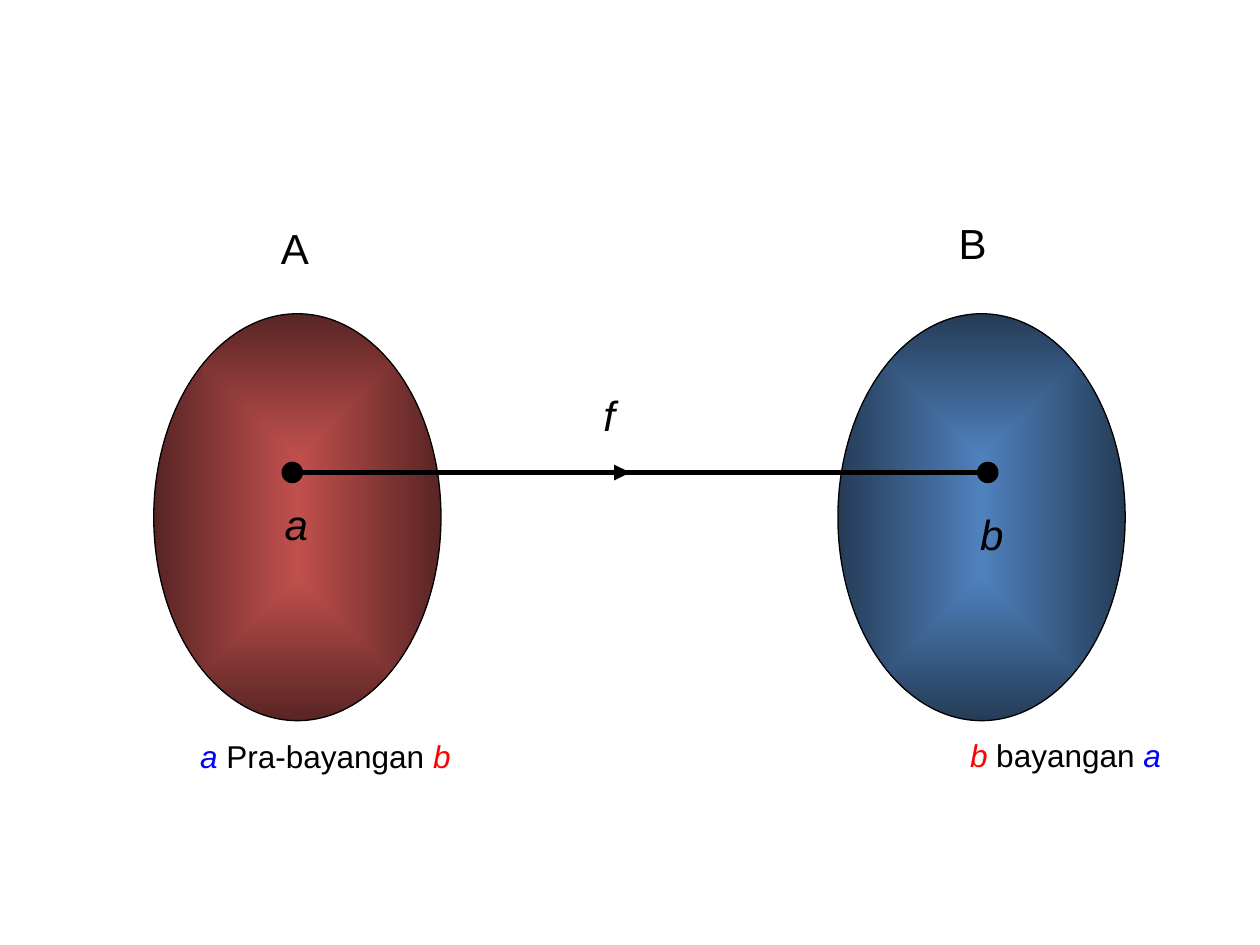
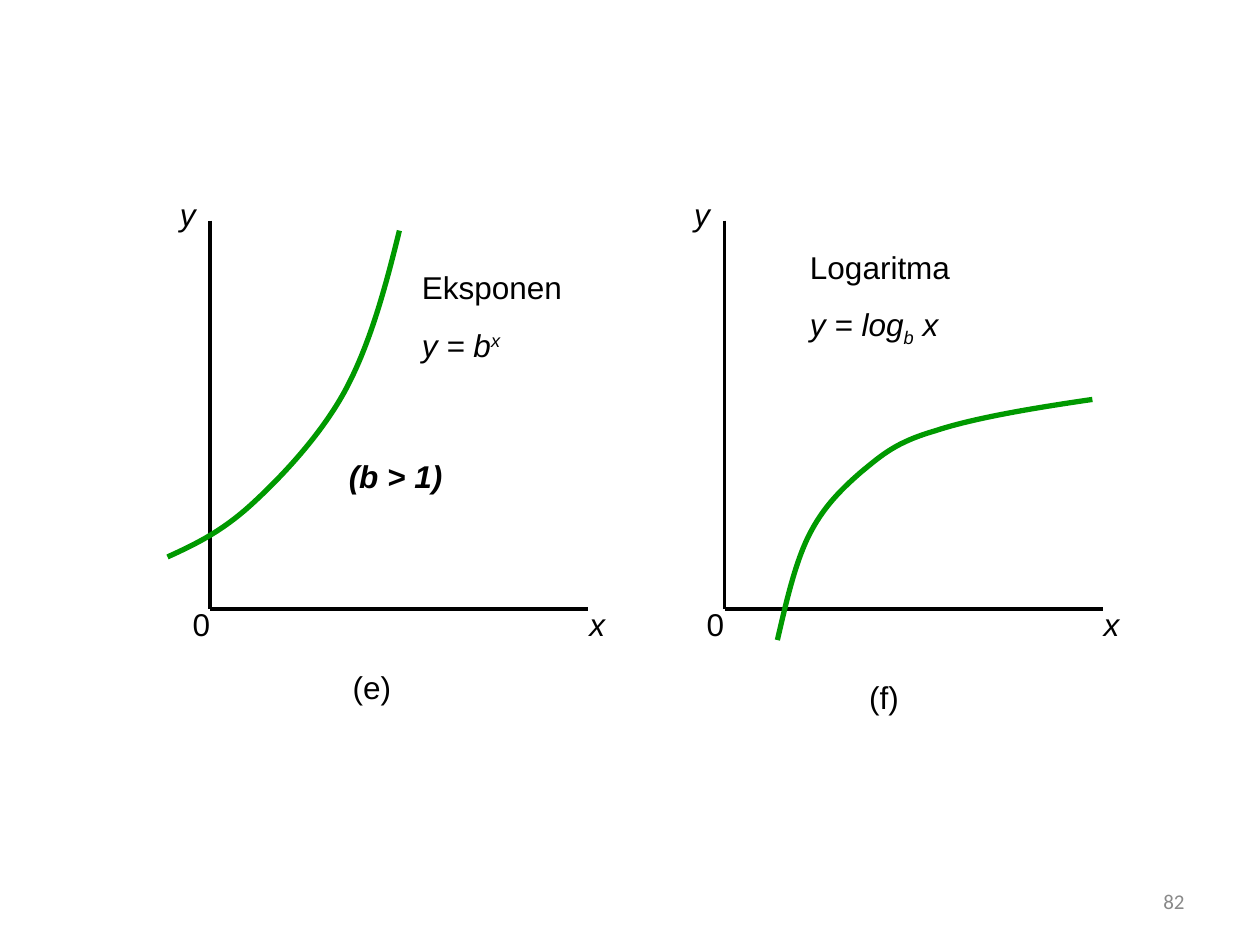
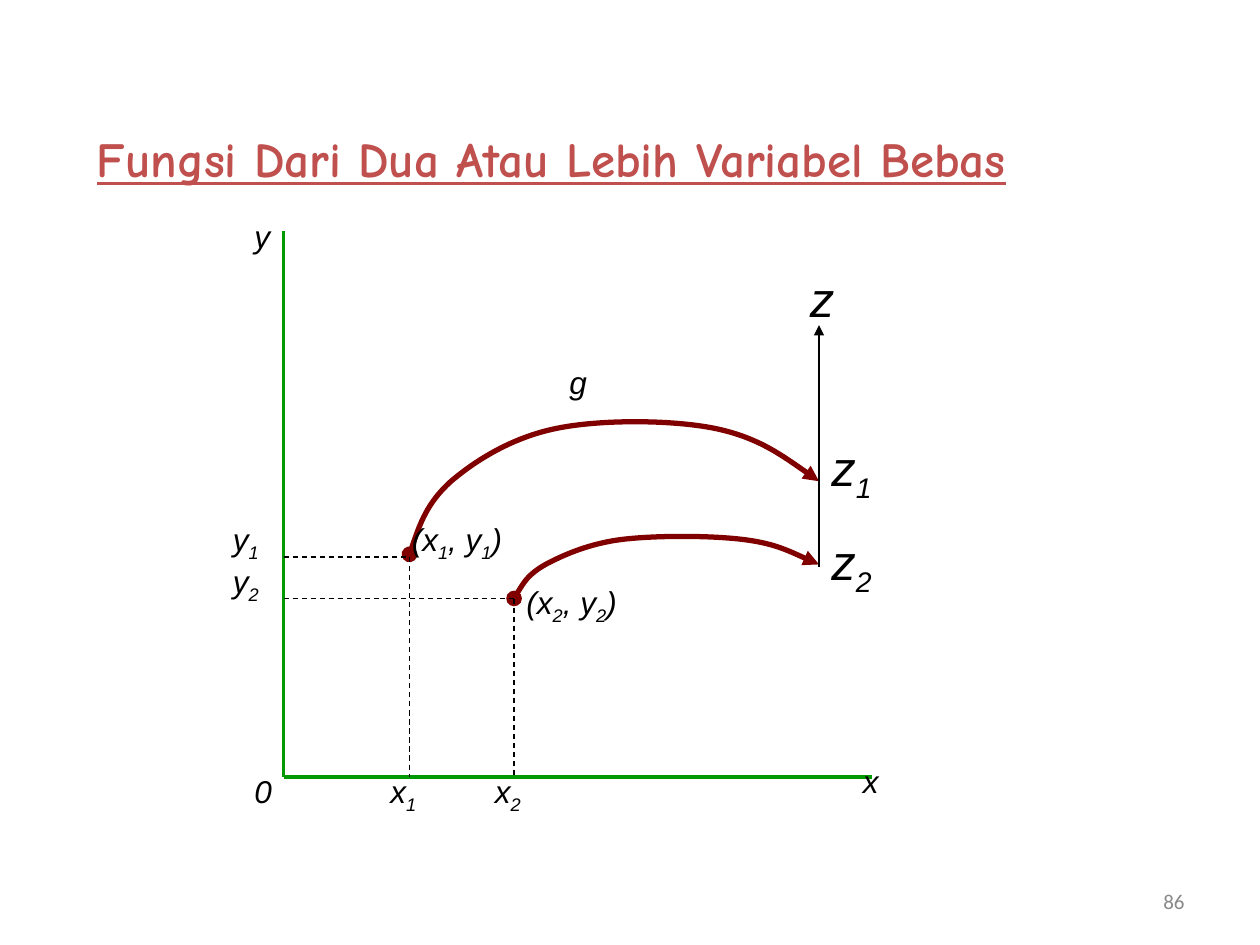
from lxml import etree
from pptx import Presentation
from pptx import util as u
from pptx.dml.color import RGBColor
from pptx.enum import dml, shapes, text
from pptx.oxml import ns

BLACK = RGBColor(0, 0, 0)
RED = RGBColor(0xFF, 0, 0)
BLUE = RGBColor(0, 0, 0xFF)
GREEN = RGBColor(0, 0x99, 0)
MAROON = RGBColor(0x80, 0, 0)
GREY = RGBColor(0x89, 0x89, 0x89)
BRICK = RGBColor(0xC0, 0x50, 0x4D)
BRICK_DARK = RGBColor(0x59, 0x25, 0x24)
STEEL = RGBColor(0x4F, 0x81, 0xBD)
STEEL_DARK = RGBColor(0x25, 0x3C, 0x57)
FONT = "Arial"
TITLE_ONLY, BLANK = 5, 6


def inches(*sizes):
    """Turn numbers into lengths."""
    return [u.Inches(size) for size in sizes]


def add_run(para, words, style="", color=BLACK, size=18, font=FONT):
    """Add a run; style letters are b, i, u, ^ (raised) and _ (lowered)."""
    run = para.add_run()
    run.text = words
    run.font.name = font
    run.font.size = u.Pt(size)
    run.font.color.rgb = color
    run.font.bold = "b" in style
    run.font.italic = "i" in style
    run.font.underline = "u" in style
    for mark, shift in (("^", "30000"), ("_", "-25000")):
        if mark in style:
            run.font._element.set("baseline", shift)


def add_label(slide, box, *lines, size=18, wrap=True, gap=11.2):
    """Add a text box whose lines are lists of runs."""
    frame = slide.shapes.add_textbox(*inches(*box)).text_frame
    frame.word_wrap = wrap
    frame.auto_size = text.MSO_AUTO_SIZE.SHAPE_TO_FIT_TEXT
    for row, runs in enumerate(lines):
        para = frame.add_paragraph() if row else frame.paragraphs[0]
        if row:
            para.space_before = u.Pt(gap)
        for run in runs:
            add_run(para, *run, size=size)


def set_line(shape, color, width, head=None, tail=None):
    """Give a shape's line its colour, width and ends."""
    shape.line.color.rgb = color
    shape.line.width = u.Pt(width)
    edge = shape._element.spPr.find(ns.qn("a:ln"))
    for tag, kind in (("a:headEnd", head), ("a:tailEnd", tail)):
        if kind:
            etree.SubElement(edge, ns.qn(tag), type=kind)


def add_line(slide, start, end, color=BLACK, width=0.75, tail=None, dash=False):
    """Draw a straight line."""
    line = slide.shapes.add_connector(
        shapes.MSO_CONNECTOR.STRAIGHT, *inches(*start, *end))
    if dash:
        line.line.dash_style = dml.MSO_LINE.DASH
    set_line(line, color, width, tail=tail)
    etree.SubElement(line._element.spPr, ns.qn("a:effectLst"))


def add_curve(slide, left, top, points, color, head=None, tail=None):
    """Draw a smooth curve: a start, then two handles and an end per piece."""
    spots = [inches(left + x, top + y) for x, y in points]
    pen = slide.shapes.build_freeform(*spots[0])
    pen.add_line_segments(spots[1:], close=False)
    curve = pen.convert_to_shape()
    steps = list(curve._element.iter(ns.qn("a:lnTo")))
    for at in range(0, len(steps), 3):
        bend = etree.Element(ns.qn("a:cubicBezTo"))
        steps[at].addprevious(bend)
        for step in steps[at:at + 3]:
            bend.append(step[0])
            step.getparent().remove(step)
    curve.shadow.inherit = False
    curve.fill.background()
    set_line(curve, color, 3, head, tail)


def add_oval(slide, box):
    """Add an ellipse with a thin black edge."""
    oval = slide.shapes.add_shape(shapes.MSO_SHAPE.OVAL, *inches(*box))
    oval.shadow.inherit = False
    set_line(oval, BLACK, 0.75)
    return oval


def add_set(slide, box, inner, outer):
    """Draw a set as an ellipse shaded from its centre."""
    oval = add_oval(slide, box)
    oval.fill.gradient()
    for stop, color, place in zip(oval.fill.gradient_stops, (inner, outer), (0, 1)):
        stop.color.rgb = color
        stop.position = place
    grad = oval._element.spPr.find(ns.qn("a:gradFill"))
    grad.remove(grad.find(ns.qn("a:lin")))
    shade = etree.SubElement(grad, ns.qn("a:path"), path="rect")
    etree.SubElement(shade, ns.qn("a:fillToRect"),
                     {side: "50000" for side in "ltrb"})


def add_axes(slide, box, color):
    """Draw both axes along the left and bottom of a box."""
    left, top, width, height = box
    base = top + height
    add_line(slide, (left, top), (left, base), color, 2.25)
    add_line(slide, (left, base), (left + width, base), color, 2.25)


def add_number(slide, number):
    """Add the slide number at the bottom right."""
    frame = slide.shapes.add_textbox(*inches(7.17, 6.95, 2.33, 0.4)).text_frame
    frame.word_wrap = True
    frame.vertical_anchor = text.MSO_ANCHOR.MIDDLE
    para = frame.paragraphs[0]
    para.alignment = text.PP_ALIGN.RIGHT
    add_run(para, str(number), color=GREY, size=12, font="Calibri")


def add_title(slide, words):
    """Place and format the title."""
    title = slide.shapes.title
    title.left, title.top, title.width, title.height = inches(0, 0.75, 8.75, 1)
    title.text_frame.vertical_anchor = text.MSO_ANCHOR.MIDDLE
    para = title.text_frame.paragraphs[0]
    para.alignment = text.PP_ALIGN.CENTER
    add_run(para, words, "bu", BRICK, 28, "Comic Neue")


def map_slide(slide, box):
    """Show the mapping from set A to set B."""
    left, top, width, height = box
    wide = 2.28
    add_set(slide, (left, top, wide, height), BRICK, BRICK_DARK)
    add_set(slide, (left + width - wide, top, wide, height), STEEL, STEEL_DARK)
    start, end, level = left + 1.1, left + 6.62, top + 1.26
    for x in (start, end):
        dot = add_oval(slide, (x - 0.08, level - 0.08, 0.16, 0.16))
        dot.fill.solid()
        dot.fill.fore_color.rgb = BLACK
    add_line(slide, (start, level), (end, level), width=3)
    add_line(slide, (start, level), (left + 3.78, level), width=3, tail="triangle")
    names = [("A", "", 0.91, -0.77, 0.42), ("B", "", 6.29, -0.81, 0.42),
             ("a", "i", 0.94, 1.42, 0.38), ("b", "i", 6.46, 1.5, 0.38),
             ("f", "i", 3.47, 0.55, 0.29)]
    for name, style, x, y, w in names:
        add_label(slide, (left + x, top + y, w, 0.5), [(name, style)],
                  size=24, wrap=False)
    pre, image = ("a", "i", BLUE), ("b", "i", RED)
    add_label(slide, (left + 6.38, top + 3.3, 1.75, 0.4),
              [image, (" bayangan ",), pre], wrap=False)
    add_label(slide, (left + 0.27, top + 3.31, 2.28, 0.4),
              [pre, (" Pra-bayangan ",), image], wrap=False)


def graph(slide, box, points, caption, spot, formula, place):
    """Plot one function with its axes, caption and formula."""
    left, top, _, height = box
    add_axes(slide, box, BLACK)
    add_label(slide, (left + 2.91, top + height - 0.08, 0.42, 0.4), [("x", "i")])
    add_label(slide, (left - 0.34, top - 0.25, 0.42, 0.4), [("y", "i")])
    add_label(slide, (left - 0.24, top + height - 0.08, 0.34, 0.4), [("0",)],
              wrap=False)
    add_curve(slide, left, top, points, GREEN)
    x, y, w = spot
    add_label(slide, (left + x, top + y, w, 0.4), [(caption,)], wrap=False)
    x, y, w, h = place
    add_label(slide, (left + x, top + y, w, h), *formula)


def graph_slide(slide, box):
    """Show the exponential and the logarithm side by side."""
    left, top, width, height = box
    rise = [(-0.34, 2.67), (-0.12, 2.57), (0.09, 2.47), (0.33, 2.25),
            (0.57, 2.03), (0.89, 1.69), (1.08, 1.33),
            (1.27, 0.97), (1.39, 0.53), (1.5, 0.08)]
    slow = [(0.42, 3.33), (0.49, 3.03), (0.56, 2.72), (0.67, 2.5),
            (0.78, 2.28), (0.92, 2.14), (1.08, 2), (1.25, 1.86), (1.36, 1.76),
            (1.67, 1.67), (1.97, 1.57), (2.44, 1.49), (2.92, 1.42)]
    graph(slide, (left, top, 3, height), rise, "(e)", (1.03, 3.5, 0.55),
          ([("Eksponen",)], [("y = b", "i"), ("x", "i^")]),
          (1.58, 0.33, 1.67, 0.86))
    graph(slide, (left + width - 3, top, 3, height), slow, "(f)", (1.05, 3.58, 0.48),
          ([("Logaritma",)], [("y = log", "i"), ("b", "i_"), (" x", "i")]),
          (0.58, 0.17, 2.58, 0.9))
    add_label(slide, (left + 1, top + 1.83, 0.97, 0.4), [("(b > 1)", "bi")],
              wrap=False)
    add_number(slide, 82)


def plane_slide(slide, box):
    """Show points of the plane mapped onto the z axis."""
    left, top, _, height = box
    add_title(slide, "Fungsi Dari Dua Atau Lebih Variabel Bebas")
    add_axes(slide, box, GREEN)
    arcs = [
        [(1, 2.57), (1.07, 2.36), (1.14, 2.16), (1.33, 1.99), (1.53, 1.82),
         (1.82, 1.64), (2.17, 1.57), (2.51, 1.5), (3.07, 1.5), (3.42, 1.57),
         (3.76, 1.64), (4.01, 1.82), (4.25, 1.99)],
        [(1.83, 2.92), (1.89, 2.82), (1.94, 2.73), (2.08, 2.65), (2.23, 2.57),
         (2.44, 2.48), (2.7, 2.45), (2.96, 2.42), (3.37, 2.42), (3.63, 2.45),
         (3.89, 2.48), (4.07, 2.57), (4.25, 2.65)]]
    for arc in arcs:
        add_curve(slide, left, top, arc, MAROON, "oval", "triangle")
    spots = [("1", 1, 2.59, 0.92, 2.25, 1.59), ("2", 1.83, 2.92, 1.83, 2.75, 2.34)]
    for index, x, y, near, high, target in spots:
        corner = (left + x, top + y)
        add_line(slide, (left, top + y), corner, dash=True)
        add_line(slide, corner, (left + x, top + height), dash=True)
        sub = (index, "i_")
        add_label(slide, (left + x - 0.25, top + 4.25, 0.58, 0.44), [("x", "i"), sub])
        add_label(slide, (left - 0.5, top + y - 0.34, 0.58, 0.44), [("y", "i"), sub])
        add_label(slide, (left + near, top + high, 1.42, 0.44),
                  [("(x", "i"), sub, (", y", "i"), sub, (")", "i")])
        add_label(slide, (left + 4.25, top + target, 0.75, 0.63),
                  [("z", "i"), sub], size=28)
    add_line(slide, (left + 4.25, top + 2.67), (left + 4.25, top + 0.75),
             tail="triangle")
    add_label(slide, (left + 4.08, top + 0.25, 0.75, 0.57), [("z", "i")], size=28)
    names = [("g", 2.17, 1, 0.42), ("0", -0.33, 4.25, 0.58),
             ("x", 4.5, 4.17, 0.58), ("y", -0.33, -0.16, 0.58)]
    for name, x, y, w in names:
        add_label(slide, (left + x, top + y, w, 0.4), [(name, "i")])
    add_number(slide, 86)


def main():
    """Build and save the slides."""
    deck = Presentation()
    deck.slide_width, deck.slide_height = inches(10, 7.5)
    pages = [(map_slide, BLANK, (1.22, 2.49, 7.71, 3.23)),
             (graph_slide, BLANK, (1.67, 1.75, 7.08, 3.08)),
             (plane_slide, TITLE_ONLY, (2.25, 1.83, 4.67, 4.34))]
    for build, layout, box in pages:
        build(deck.slides.add_slide(deck.slide_layouts[layout]), box)
    deck.save("out.pptx")


if __name__ == "__main__":
    main()
